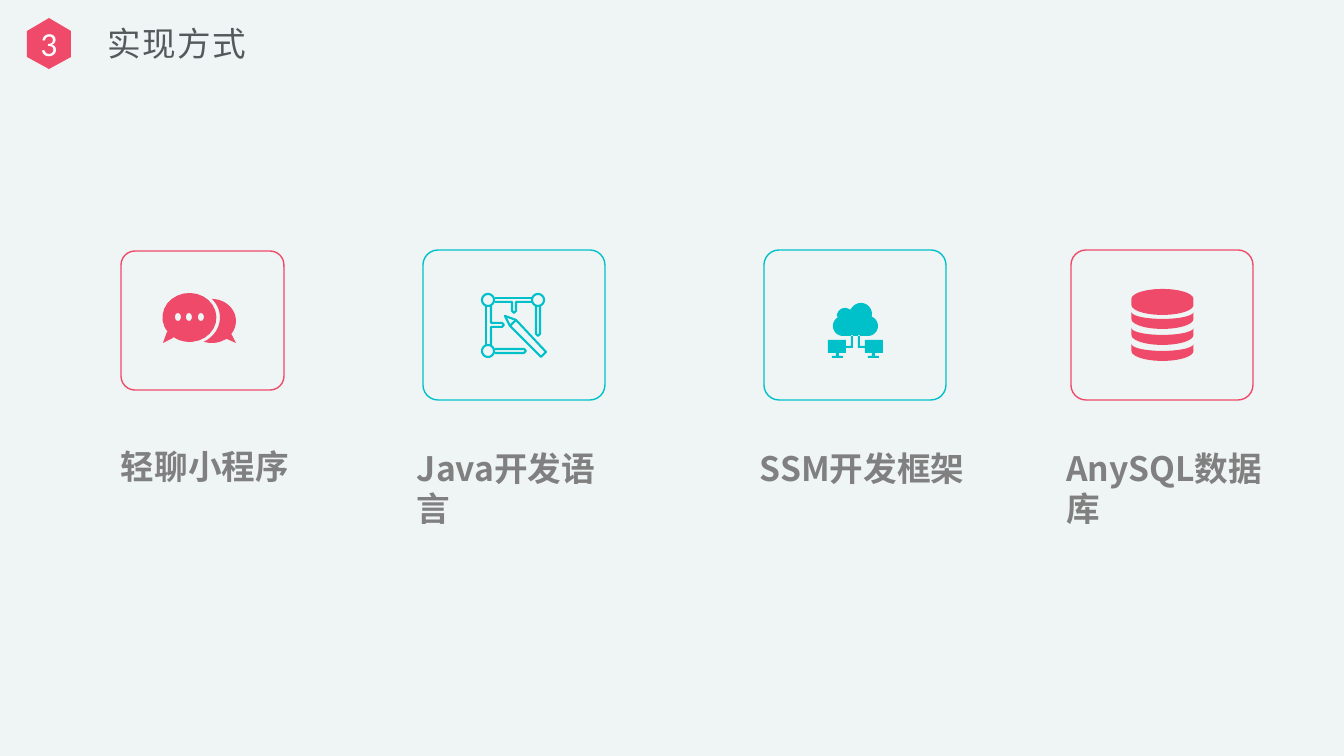
from math import cos, radians, sin

from lxml.etree import SubElement
from pptx import Presentation
from pptx.dml.color import RGBColor
from pptx.enum.shapes import MSO_SHAPE as Preset
from pptx.enum.text import MSO_ANCHOR as Anchor, PP_ALIGN as Align
from pptx.oxml.ns import qn
from pptx.util import Emu, Pt

COLORS = {
    "background": "EFF5F5",
    "pink": "EF4A6A",
    "teal": "00C1CA",
    "heading": "55595B",
    "label": "808080",
    "white": "FFFFFF",
}
CJK = "Noto Sans CJK SC"
HEADING = "实现方式"
SECTION = "3"
HEXAGON = [(49, 18), (71, 31), (71, 57), (49, 69), (27, 57), (27, 31)]

CARDS = [
    ("轻聊小程序", "pink", (121, 251, 163, 139), (121, 446, 172, 40)),
    ("Java开发语言", "teal", (423, 250, 182, 150), (417, 448, 207, 40)),
    ("SSM开发框架", "teal", (764, 250, 182, 150), (760, 448, 205, 40)),
    ("AnySQL数据库", "pink", (1071, 250, 182, 150), (1066, 448, 208, 40)),
]

RAILS = [
    [(486, 306), (486, 345)],
    [(491, 306), (491, 323), (502, 323), (504, 325), (502, 327), (491, 327), (491, 345)],
    [(495, 298), (532, 298)],
    [(495, 302), (512, 302), (512, 311), (514, 313), (516, 311), (516, 302), (532, 302)],
    [(536, 306), (536, 334), (538, 336), (540, 334), (540, 306)],
    [(495, 349), (524, 349), (526, 351), (524, 353), (495, 353)],
    [(510, 326), (516, 320)],
]
PENCIL = [(505, 316), (516, 320), (546, 352), (541, 357), (510, 326)]
CORNERS = [(488, 300), (538, 300), (488, 351)]

STEM = [(851, 335), (851, 346), (846, 346), (846, 348), (853, 348), (853, 335)]
MONITOR = [(828, 340), (846, 340), (846, 353), (839, 353), (839, 356), (843, 356),
           (843, 358), (832, 358), (832, 356), (836, 356), (836, 353), (828, 353)]
CLOUD_AXIS_TWICE = 1711


def px(length):
    return Emu(round(length * 914400 / 100.8))


def rgb(name):
    return RGBColor.from_string(COLORS[name])


def arc(cx, cy, rx, ry, start, end, steps=24):
    angles = [radians(start + (end - start) * i / steps) for i in range(steps + 1)]
    return [(cx + rx * cos(a), cy + ry * sin(a)) for a in angles]


def oval(cx, cy, rx, ry):
    return arc(cx, cy, rx, ry, 0, 360)


def paint(shape, fill=None, line=None, weight=1):
    shape.shadow.inherit = False
    if fill:
        shape.fill.solid()
        shape.fill.fore_color.rgb = rgb(fill)
    else:
        shape.fill.background()
    if line:
        shape.line.color.rgb = rgb(line)
        shape.line.width = Pt(weight)
    else:
        shape.line.fill.background()


def draw(slide, closed, opened=(), **style):
    contours = [(points, True) for points in closed] + [(points, False) for points in opened]
    builder = None
    for points, close in contours:
        start, *rest = [(px(x), px(y)) for x, y in points]
        if builder is None:
            builder = slide.shapes.build_freeform(*start, scale=1.0)
        else:
            builder.move_to(*start)
        builder.add_line_segments(rest, close=close)
    shape = builder.convert_to_shape()
    paint(shape, **style)
    return shape


def write(shape, words, font, color, insets=(0, 0, 0, 0), bold=False,
          align=Align.LEFT, anchor=Anchor.TOP):
    frame = shape.text_frame
    frame.text = words
    frame.word_wrap = True
    frame.vertical_anchor = anchor
    frame.margin_left, frame.margin_top, frame.margin_right, frame.margin_bottom = map(px, insets)
    frame.paragraphs[0].alignment = align
    run = frame.paragraphs[0].runs[0]
    run.font.size = Pt(24)
    run.font.bold = bold
    run.font.name = font
    run.font.color.rgb = rgb(color)
    SubElement(run.font._element, qn("a:ea")).set("typeface", font)
    return run


def draw_chat(slide):
    front = arc(189.5, 317.5, 27, 24.5, 143, -217 + 340) + [(173, 338), (163, 343), (167, 332)]
    front = arc(189.5, 317.5, 27, 24.5, 143, 487) + [(173, 338), (163, 343), (167, 332)]
    dots = [oval(x, 317, 3, 4) for x in (178, 189, 201)]
    back = (arc(212, 321, 24, 22, -90, 36) + [(236, 343), (227, 339)]
            + arc(212, 321, 24, 22, 60, 110) + arc(189.5, 317.5, 30.5, 27.5, 62, -43))
    draw(slide, [front, *dots, back], fill="pink")


def draw_design(slide):
    rings = [oval(x, y, 6, 6) for x, y in CORNERS]
    draw(slide, [PENCIL, *rings], RAILS, line="teal", weight=1.5)


def draw_cloud(slide):
    cloud = (arc(843, 326, 10, 10, 90, 240) + arc(845, 316, 8, 8, 180, 310)
             + arc(861, 314, 11, 11, 215, 375) + arc(868, 326, 10, 10, -70, 90))
    left = [STEM, MONITOR]
    right = [[(CLOUD_AXIS_TWICE - x, y) for x, y in part] for part in left]
    draw(slide, [cloud, *left, *right], fill="teal")


def draw_database(slide):
    cx, rx = 1162.5, 31
    lid = arc(cx, 299, rx, 10, 180, 360) + arc(cx, 305, rx, 10, 0, 180)
    bands = [arc(cx, y, rx, 7, 180, 0) + arc(cx, y + 7, rx, 10, 0, 180)
             for y in range(312, 345, 16)]
    draw(slide, [lid, *bands], fill="pink")


def main():
    deck = Presentation()
    deck.slide_width, deck.slide_height = px(1344), px(756)
    slide = deck.slides.add_slide(deck.slide_layouts[5])
    slide.background.fill.solid()
    slide.background.fill.fore_color.rgb = rgb("background")

    heading = slide.shapes.title
    heading.left, heading.top, heading.width, heading.height = map(px, (88, 13, 513, 60))
    heading_run = write(heading, HEADING, CJK, "heading", (20, 5, 10, 5), anchor=Anchor.MIDDLE)
    heading_run.font._element.set("spc", "100")

    badge = draw(slide, [HEXAGON], fill="pink")
    write(badge, SECTION, "Calibri", "white", align=Align.CENTER, anchor=Anchor.MIDDLE)

    icons = (draw_chat, draw_design, draw_cloud, draw_database)
    for (label, color, frame_box, label_box), draw_icon in zip(CARDS, icons):
        frame = slide.shapes.add_shape(Preset.ROUNDED_RECTANGLE, *map(px, frame_box))
        frame.adjustments[0] = 0.1
        paint(frame, line=color)
        draw_icon(slide)
        caption = slide.shapes.add_textbox(*map(px, label_box))
        write(caption, label, CJK, "label", bold=True)

    deck.save("out.pptx")


if __name__ == "__main__":
    main()
